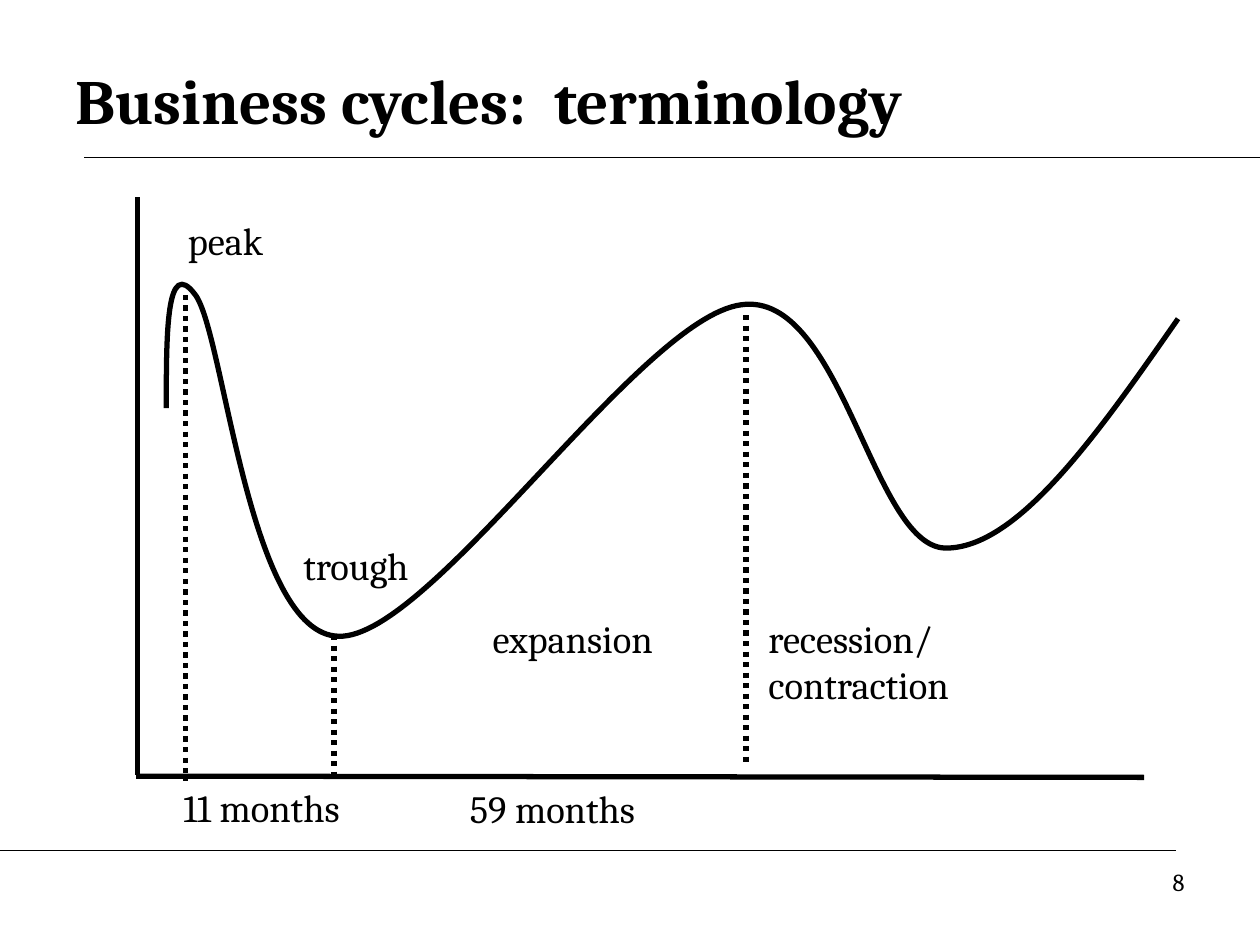
from lxml.etree import SubElement
from pptx import Presentation
from pptx.dml.color import RGBColor
from pptx.enum.dml import MSO_LINE
from pptx.enum.shapes import MSO_CONNECTOR
from pptx.enum.text import MSO_ANCHOR, PP_ALIGN
from pptx.oxml.ns import qn
from pptx.util import Inches, Pt

FONT = "Cambria"
BLACK = "000000"

# Start point, then two control points and an end point for each curve piece.
CYCLE_START = (1.32, 3.24)
CYCLE_POINTS = [
    (1.32, 2.64), (1.32, 2.03), (1.55, 2.34),
    (1.78, 2.64), (1.97, 5.04), (2.69, 5.05),
    (3.41, 5.07), (5.08, 2.53), (5.88, 2.42),
    (6.68, 2.30), (6.92, 4.33), (7.50, 4.35),
    (8.07, 4.36), (8.71, 3.45), (9.35, 2.53),
]
RULES = [(0.67, 1.25, 10, 1.25), (0, 6.75, 9.33, 6.75)]
AXES = [(1.08, 6.16, 9.08, 6.17), (1.09, 6.15, 1.09, 1.56)]
TURNING_POINTS = [(1.47, 2.34, 1.47, 6.2), (2.65, 5.04, 2.65, 6.18), (5.92, 2.5, 5.92, 6.08)]
LABELS = [
    ("peak", (1.25, 1.67, 1.08, 0.47)),
    ("trough", (2.2, 4.25, 1.25, 0.47)),
    ("expansion", (3.67, 4.83, 1.75, 0.47)),
    ("11 months", (0.5, 6.17, 3.15, 0.47)),
    ("59 months", (2.81, 6.18, 3.15, 0.47)),
]


def color(hex_value):
    """Turn a hex string into a colour."""
    return RGBColor.from_string(hex_value)


def add_text(page, text, place, size=22, bold=False, align=PP_ALIGN.LEFT, anchor=MSO_ANCHOR.TOP):
    """Add a wrapped text box at (left, top, width, height)."""
    box = page.shapes.add_textbox(*map(Inches, place))
    frame = box.text_frame
    frame.word_wrap = True
    frame.vertical_anchor = anchor
    para = frame.paragraphs[0]
    para.alignment = align
    span = para.add_run()
    span.text = text
    span.font.name = FONT
    span.font.size = Pt(size)
    span.font.bold = bold
    span.font.color.rgb = color(BLACK)


def add_line(page, ends, width=3, dash=None):
    """Add a straight line between two points, without shadow."""
    line = page.shapes.add_connector(MSO_CONNECTOR.STRAIGHT, *map(Inches, ends))
    line.line.color.rgb = color(BLACK)
    line.line.width = Pt(width)
    if dash is not None:
        line.line.dash_style = dash
    SubElement(line._element.spPr, qn("a:effectLst"))


def add_curve(page, start, points, width=3):
    """Add an open curve whose points come in threes, as cubic pieces."""
    builder = page.shapes.build_freeform(*map(Inches, start))
    builder.add_line_segments([(Inches(x), Inches(y)) for x, y in points], close=False)
    curve = builder.convert_to_shape()
    curve.shadow.inherit = False
    curve.fill.background()
    curve.line.color.rgb = color(BLACK)
    curve.line.width = Pt(width)
    segments = list(curve._element.iter(qn("a:lnTo")))
    outline = segments[0].getparent()
    for first in range(0, len(segments), 3):
        piece = SubElement(outline, qn("a:cubicBezTo"))
        for segment in segments[first:first + 3]:
            piece.append(segment[0])
            outline.remove(segment)


def main():
    """Build the business cycle slide."""
    deck = Presentation()
    deck.slide_width, deck.slide_height = Inches(10), Inches(7.5)
    page = deck.slides.add_slide(deck.slide_layouts[6])

    for rule in RULES:
        add_line(page, rule, width=0.75)
    add_text(page, "Business cycles:  terminology", (0.5, 0.33, 9, 0.92),
             size=36, bold=True, anchor=MSO_ANCHOR.MIDDLE)
    for axis in AXES:
        add_line(page, axis)
    for turning_point in TURNING_POINTS:
        add_line(page, turning_point, dash=MSO_LINE.ROUND_DOT)
    add_curve(page, CYCLE_START, CYCLE_POINTS)

    for text, place in LABELS:
        add_text(page, text, place, align=PP_ALIGN.CENTER)
    add_text(page, "recession/ contraction", (6, 4.83, 1.75, 0.84))
    add_text(page, "8", (7.17, 6.83, 2.33, 0.52), size=14, align=PP_ALIGN.RIGHT)
    deck.save("out.pptx")


main()
